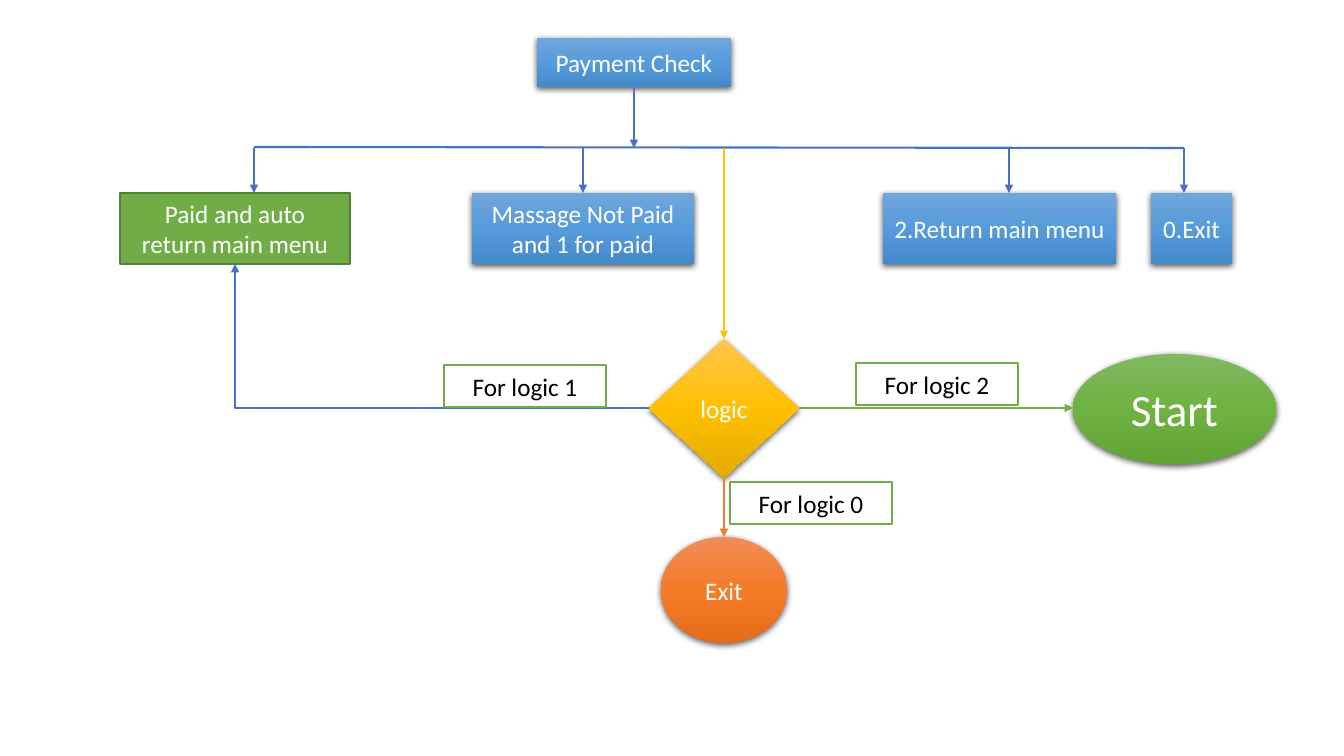
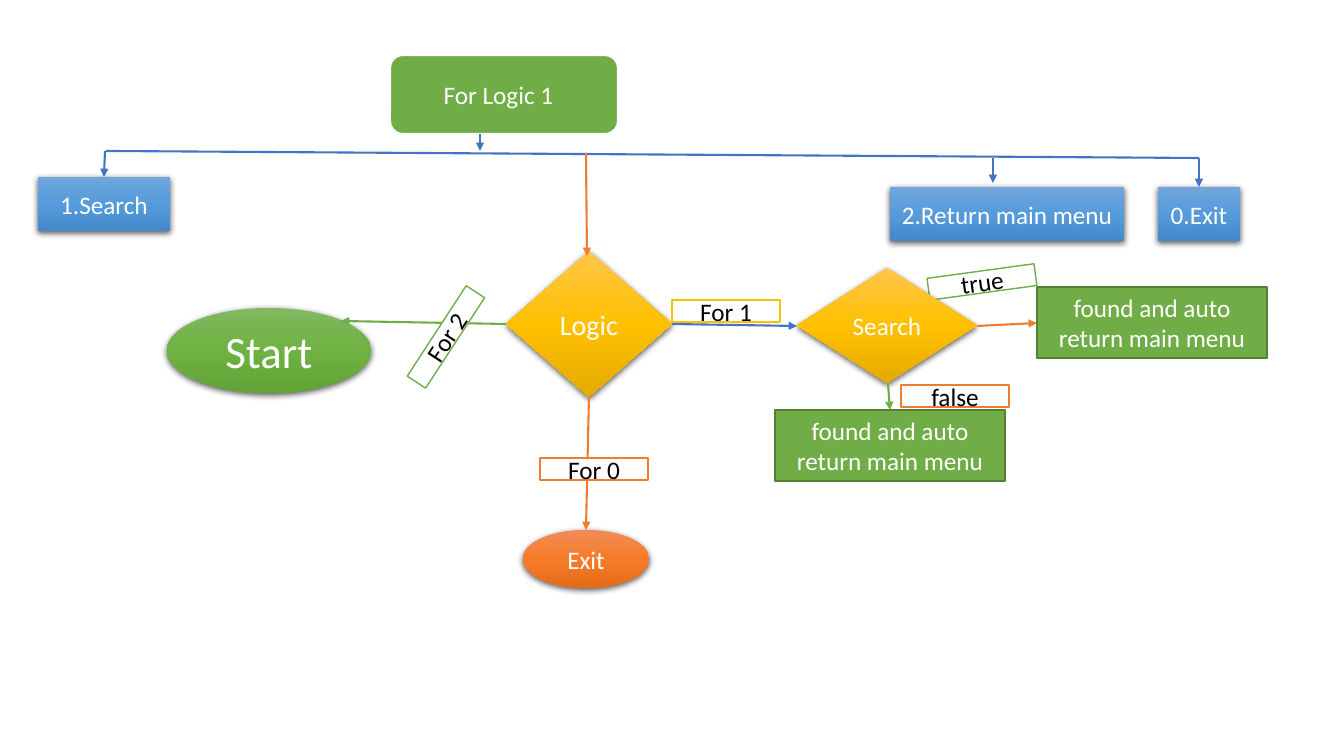
"""Build two flowchart slides: the payment check and the search menu."""
from copy import deepcopy

from lxml import etree
from pptx import Presentation
from pptx.dml.color import RGBColor
from pptx.enum.shapes import MSO_CONNECTOR, MSO_SHAPE
from pptx.enum.text import MSO_ANCHOR, PP_ALIGN
from pptx.oxml.ns import qn
from pptx.util import Pt

PX = 914400 / 100.8
RECT, ROUND = MSO_SHAPE.RECTANGLE, MSO_SHAPE.ROUNDED_RECTANGLE
OVAL, DIAMOND = MSO_SHAPE.OVAL, MSO_SHAPE.DIAMOND
STRAIGHT, ELBOW = MSO_CONNECTOR.STRAIGHT, MSO_CONNECTOR.ELBOW
MIDDLE, CENTER = MSO_ANCHOR.MIDDLE, PP_ALIGN.CENTER
BLUE, GREEN, ORANGE, YELLOW = "4472C4", "70AD47", "ED7D31", "FFC000"
WHITE, BLACK = "FFFFFF", "000000"
rgb = RGBColor.from_string

STYLES = {
    "menu": (RECT, ("71A6DB", "559BDB", "448ACA"), None),
    "result": (RECT, (GREEN,), ("538035", 1)),
    "heading": (ROUND, (GREEN,), (WHITE, 1.5)),
    "exit": (OVAL, ("F18C57", "F67B28", "E56C19"), None),
    "start": (OVAL, ("81B861", "6FB242", "62A336"), None),
    "decision": (DIAMOND, ("FFC64B", "FFC000", "E3AB00"), None),
    "green label": (RECT, (WHITE,), (GREEN, 1)),
    "orange label": (RECT, (WHITE,), (ORANGE, 1)),
    "yellow label": (RECT, (WHITE,), (YELLOW, 1)),
}


def add_box(s, style, text, x, y, w, h, size=18, rotation=0):
    kind, colors, outline = STYLES[style]
    sp = s.shapes.add_shape(kind, *(round(v * PX) for v in (x, y, w, h)))
    sp.rotation = rotation
    sp.shadow.inherit = False
    spPr = sp._element.spPr
    if len(colors) == 1:
        sp.fill.solid()
        sp.fill.fore_color.rgb = rgb(colors[0])
    else:
        sp.fill.gradient()
        sp.fill.gradient_angle = 270
        stops = spPr.find(".//" + qn("a:gsLst"))
        stops.insert(1, deepcopy(stops[0]))
        for stop, color, position in zip(sp.fill.gradient_stops, colors, (0, 0.5, 1)):
            stop.color.rgb = rgb(color)
            stop.position = position
        shadow = etree.SubElement(
            spPr.find(qn("a:effectLst")), qn("a:outerShdw"), blurRad=str(Pt(4.5)),
            dist=str(Pt(1.5)), dir="5400000", algn="ctr", rotWithShape="0")
        tint = etree.SubElement(shadow, qn("a:srgbClr"), val=BLACK)
        etree.SubElement(tint, qn("a:alpha"), val="63000")
    if outline:
        sp.line.color.rgb = rgb(outline[0])
        sp.line.width = Pt(outline[1])
    else:
        sp.line.fill.background()
    tf = sp.text_frame
    tf.word_wrap = True
    tf.vertical_anchor = MIDDLE
    p = tf.paragraphs[0]
    p.text = text
    p.alignment = CENTER
    p.font.name = "Calibri"
    p.font.size = Pt(size)
    p.font.color.rgb = rgb(BLACK if "label" in style else WHITE)
    return sp


def add_link(s, color, x1, y1, x2, y2, arrow=True, kind=STRAIGHT):
    link = s.shapes.add_connector(kind, *(round(v * PX) for v in (x1, y1, x2, y2)))
    link.line.color.rgb = rgb(color)
    link.line.width = Pt(1.5)
    spPr = link._element.spPr
    if arrow:
        etree.SubElement(spPr.find(qn("a:ln")), qn("a:tailEnd"), type="triangle")
    etree.SubElement(spPr, qn("a:effectLst"))
    return link


prs = Presentation()
prs.slide_width, prs.slide_height = round(1344 * PX), round(756 * PX)
blank = prs.slide_layouts[6]

s = prs.slides.add_slide(blank)
for node in (
    ("menu", "Payment Check", 537, 38, 194, 49),
    ("result", "Paid and auto return main menu", 120, 193, 230, 71),
    ("menu", "Massage Not Paid and 1 for paid", 472, 193, 222, 71),
    ("menu", "2.Return main menu", 883, 193, 233, 71),
    ("menu", "0.Exit", 1151, 193, 81, 71),
    ("exit", "Exit", 661, 537, 126, 106),
    ("start", "Start", 1073, 354, 203, 110, 32),
    ("decision", "logic", 649, 339, 150, 139),
):
    add_box(s, *node)

add_link(s, BLUE, 254, 147, 1184, 148, arrow=False)
add_link(s, BLUE, 634, 88, 634, 148)
for x in (254, 583, 1009, 1184):
    add_link(s, BLUE, x, 148, x, 193)
back = add_link(s, BLUE, 235, 264, 649, 408, kind=ELBOW)
back._element.spPr.find(qn("a:xfrm")).set("rot", "10800000")
back._element.spPr.find(qn("a:prstGeom")).set("prst", "bentConnector2")
add_link(s, GREEN, 799, 408, 1073, 408)
add_link(s, ORANGE, 724, 478, 724, 537)
for text, x, y in (
    ("For logic 1", 444, 365),
    ("For logic 2", 856, 363),
    ("For logic 0", 730, 482),
):
    add_box(s, "green label", text, x, y, 162, 42)
add_link(s, YELLOW, 724, 148, 724, 339)

s = prs.slides.add_slide(blank)
heading = add_box(s, "heading", "For Logic 1", 390, 55, 228, 79)
heading.text_frame.margin_right = round(21 * PX)
for node in (
    ("menu", "1.Search", 38, 177, 132, 54),
    ("menu", "2.Return main menu", 890, 187, 234, 54),
    ("menu", "0.Exit", 1158, 187, 82, 54),
    ("decision", "Logic", 506, 251, 166, 146, 20),
    ("exit", "Exit", 523, 530, 126, 58),
    ("start", "Start", 167, 308, 204, 85, 32),
    ("green label", "true", 928, 271, 108, 22, 18, 352.2),
    ("decision", "Search", 797, 268, 180, 115),
    ("result", "found and auto return main menu", 1037, 287, 230, 71),
    ("result", "found and auto return main menu", 775, 410, 230, 71),
):
    add_box(s, *node)

add_link(s, BLUE, 106, 151, 1199, 158, arrow=False)
for link in (
    (BLUE, 480, 134, 480, 151),
    (BLUE, 105, 151, 104, 177),
    (BLUE, 993, 158, 993, 183),
    (BLUE, 1199, 158, 1199, 187),
    (ORANGE, 586, 153, 587, 256),
    (ORANGE, 589, 397, 586, 530),
    (GREEN, 506, 324, 341, 321),
    (BLUE, 672, 324, 797, 326),
    (ORANGE, 977, 326, 1037, 323),
    (GREEN, 888, 383, 890, 410),
):
    add_link(s, *link)
for style, text, x, y, rotation in (
    ("orange label", "For 0", 540, 458, 0),
    ("yellow label", "For 1", 672, 300, 0),
    ("green label", "For 2", 392, 326, 303.1),
    ("orange label", "false", 901, 385, 0),
):
    add_box(s, style, text, x, y, 108, 22, rotation=rotation)

prs.save("out.pptx")
